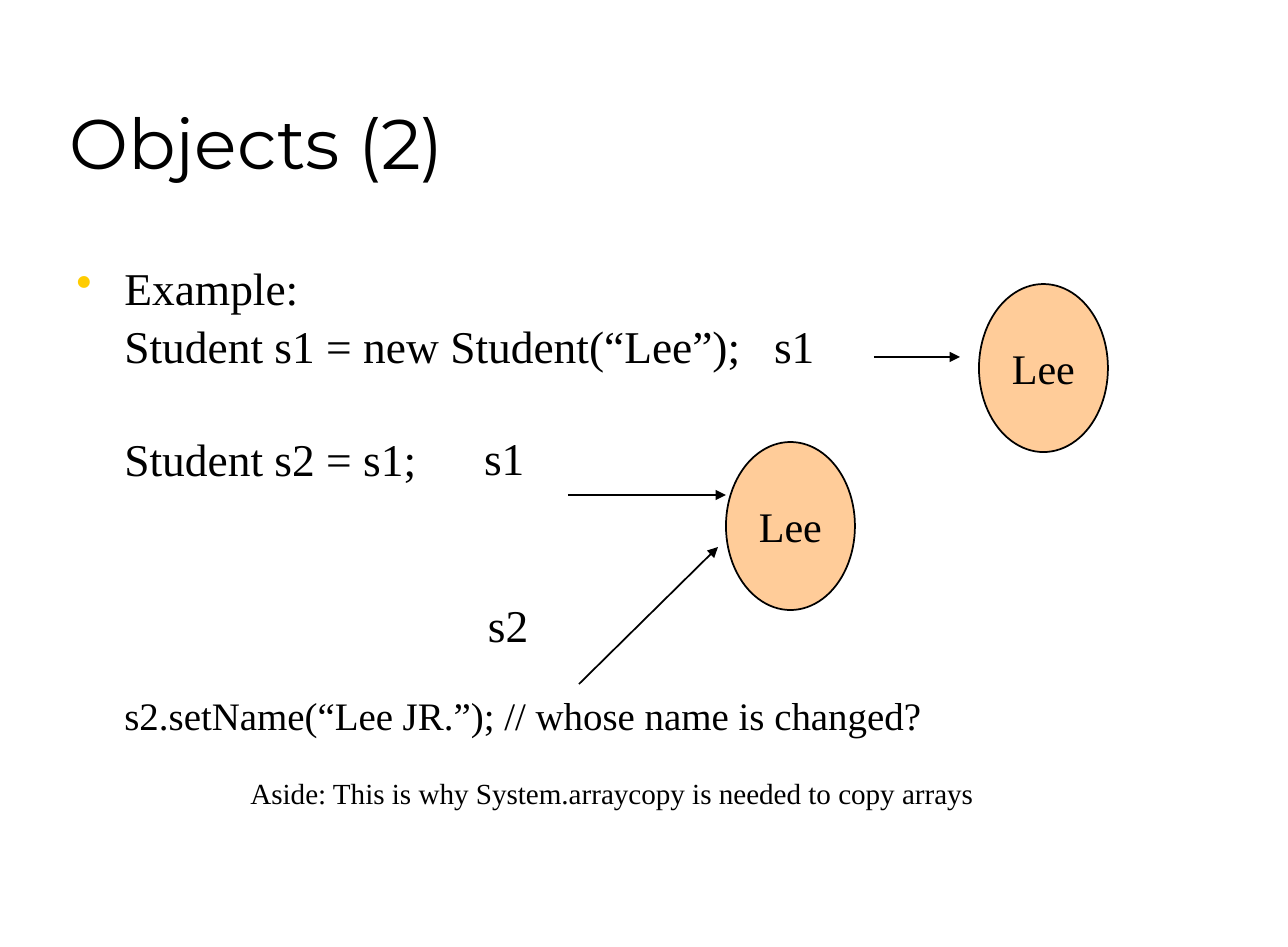
from dataclasses import dataclass

from lxml.etree import SubElement
from pptx import Presentation
from pptx.dml.color import RGBColor
from pptx.enum.shapes import MSO_CONNECTOR, MSO_SHAPE
from pptx.enum.text import MSO_ANCHOR, PP_ALIGN
from pptx.oxml.ns import qn
from pptx.slide import Slide
from pptx.text.text import TextFrame
from pptx.util import Pt

EMU_PER_PX = 7240
BLACK = RGBColor(0x00, 0x00, 0x00)
PEACH = RGBColor(0xFF, 0xCC, 0x99)
GOLD = RGBColor(0xFF, 0xCC, 0x00)
SERIF = "Times New Roman"
TITLE_FONT = "Montserrat"
CODE_SIZE = 25.9
BULLET_INDENT = 48
STUDENT_WIDTH, STUDENT_HEIGHT = 129, 168


@dataclass(frozen=True)
class CodeLine:
    text: str
    size: float = CODE_SIZE
    space_before: float = 0
    indent: int = BULLET_INDENT
    bullet: bool = False


@dataclass(frozen=True)
class Variable:
    name: str
    left: int
    top: int


@dataclass(frozen=True)
class Student:
    name: str
    left: int
    top: int


@dataclass(frozen=True)
class Reference:
    start: tuple[int, int]
    end: tuple[int, int]


CODE_LINES = [
    CodeLine("Example:", bullet=True),
    CodeLine("Student s1 = new Student(“Lee”);", space_before=5),
    CodeLine("Student s2 = s1;", space_before=36.8),
    CodeLine("s2.setName(“Lee JR.”); // whose name is changed?", 22.2, 119.8),
    CodeLine("Aside: This is why System.arraycopy is needed to copy arrays",
             16.6, 23, indent=174),
]
VARIABLES = [
    Variable("s1", 774, 318),
    Variable("s1", 484, 430),
    Variable("s2", 488, 597),
]
STUDENTS = [Student("Lee", 979, 284), Student("Lee", 726, 442)]
REFERENCES = [
    Reference((874, 357), (960, 357)),
    Reference((568, 495), (726, 495)),
    Reference((579, 684), (718, 547)),
]


def px(*lengths: int) -> list[int]:
    return [length * EMU_PER_PX for length in lengths]


def add_text_frame(slide: Slide, left: int, top: int, width: int, height: int) -> TextFrame:
    frame = slide.shapes.add_textbox(*px(left, top, width, height)).text_frame
    frame.word_wrap = True
    return frame


def write(paragraph, text: str, size: float, font_name: str = SERIF) -> None:
    paragraph.text = text
    paragraph.font.size = Pt(size)
    paragraph.font.name = font_name
    paragraph.font.color.rgb = BLACK


def add_title(slide: Slide) -> None:
    frame = add_text_frame(slide, 57, 32, 1095, 158)
    frame.vertical_anchor = MSO_ANCHOR.BOTTOM
    write(frame.paragraphs[0], "Objects (2)", 40, TITLE_FONT)


def add_code(slide: Slide) -> None:
    frame = add_text_frame(slide, 64, 260, 1152, 576)
    for index, line in enumerate(CODE_LINES):
        paragraph = frame.add_paragraph() if index else frame.paragraphs[0]
        write(paragraph, line.text, line.size)
        paragraph.line_spacing = 0.9
        paragraph.space_before = Pt(line.space_before)
        properties = paragraph._p.get_or_add_pPr()
        properties.set("marL", str(line.indent * EMU_PER_PX))
        properties.set("indent", "0")
        if line.bullet:
            properties.set("indent", str(-line.indent * EMU_PER_PX))
            bullet_color = properties.makeelement(qn("a:buClr"))
            SubElement(bullet_color, qn("a:srgbClr"), val=str(GOLD))
            bullet = properties.makeelement(qn("a:buChar"), {"char": "•"})
            run_defaults = properties.find(qn("a:defRPr"))
            run_defaults.addprevious(bullet_color)
            run_defaults.addprevious(bullet)


def add_variable(slide: Slide, variable: Variable) -> None:
    frame = add_text_frame(slide, variable.left, variable.top, 60, 52)
    frame.margin_left = frame.margin_right = 0
    frame.margin_top = frame.margin_bottom = 0
    write(frame.paragraphs[0], variable.name, CODE_SIZE)


def add_student(slide: Slide, student: Student) -> None:
    ellipse = slide.shapes.add_shape(
        MSO_SHAPE.OVAL, *px(student.left, student.top, STUDENT_WIDTH, STUDENT_HEIGHT))
    ellipse.shadow.inherit = False
    ellipse.fill.solid()
    ellipse.fill.fore_color.rgb = PEACH
    ellipse.line.color.rgb = BLACK
    ellipse.line.width = Pt(1)
    frame = ellipse.text_frame
    frame.word_wrap = False
    frame.vertical_anchor = MSO_ANCHOR.MIDDLE
    write(frame.paragraphs[0], student.name, 24)
    frame.paragraphs[0].alignment = PP_ALIGN.CENTER


def add_reference(slide: Slide, reference: Reference) -> None:
    arrow = slide.shapes.add_connector(
        MSO_CONNECTOR.STRAIGHT, *px(*reference.start, *reference.end))
    arrow.line.color.rgb = BLACK
    arrow.line.width = Pt(1)
    SubElement(arrow.line._get_or_add_ln(), qn("a:tailEnd"), type="triangle")
    SubElement(arrow._element.spPr, qn("a:effectLst"))


def main() -> None:
    presentation = Presentation()
    presentation.slide_width, presentation.slide_height = px(1288, 947)
    slide = presentation.slides.add_slide(presentation.slide_layouts[6])
    add_title(slide)
    add_code(slide)
    for variable in VARIABLES:
        add_variable(slide, variable)
    for student in STUDENTS:
        add_student(slide, student)
    for reference in REFERENCES:
        add_reference(slide, reference)
    presentation.save("out.pptx")


if __name__ == "__main__":
    main()
